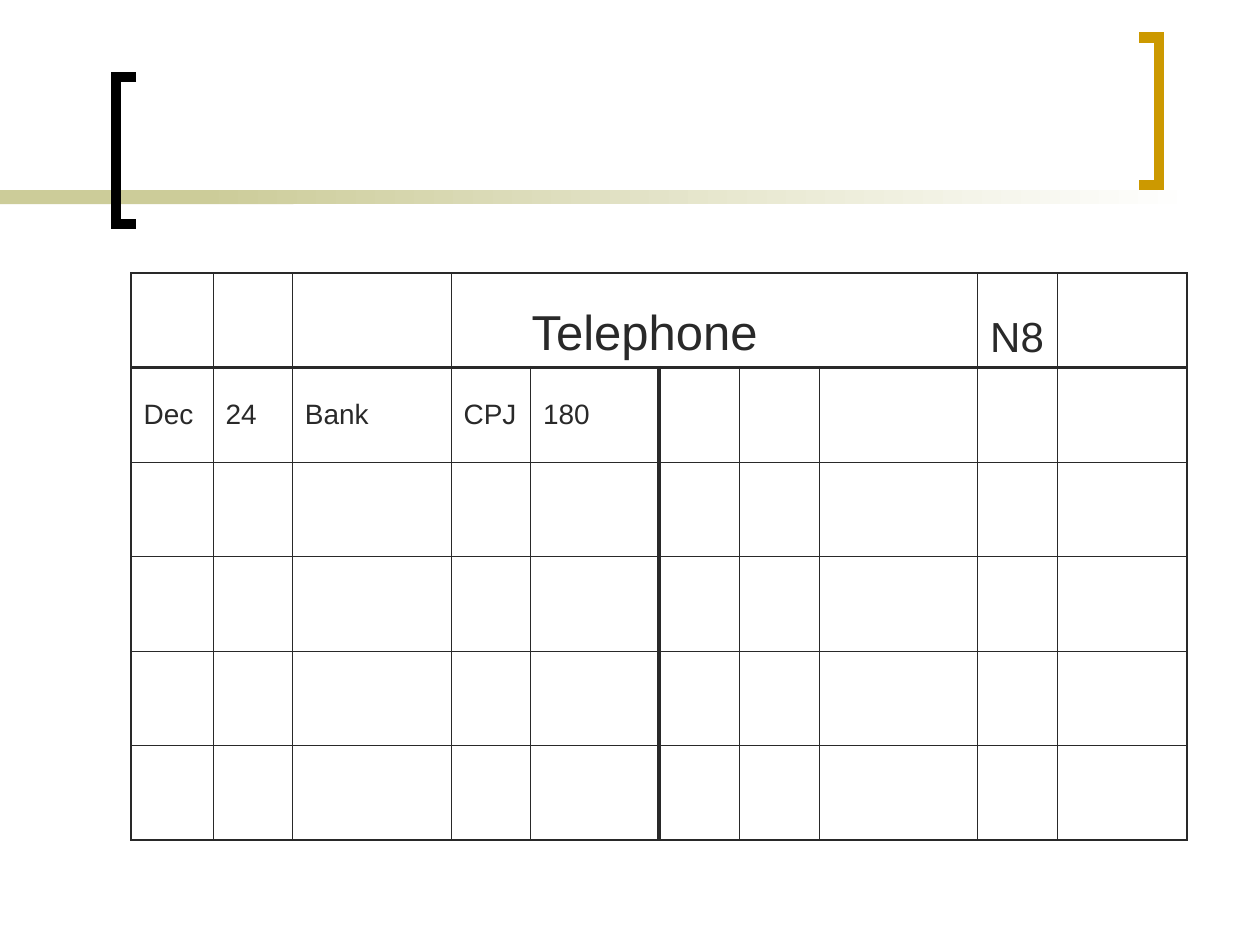
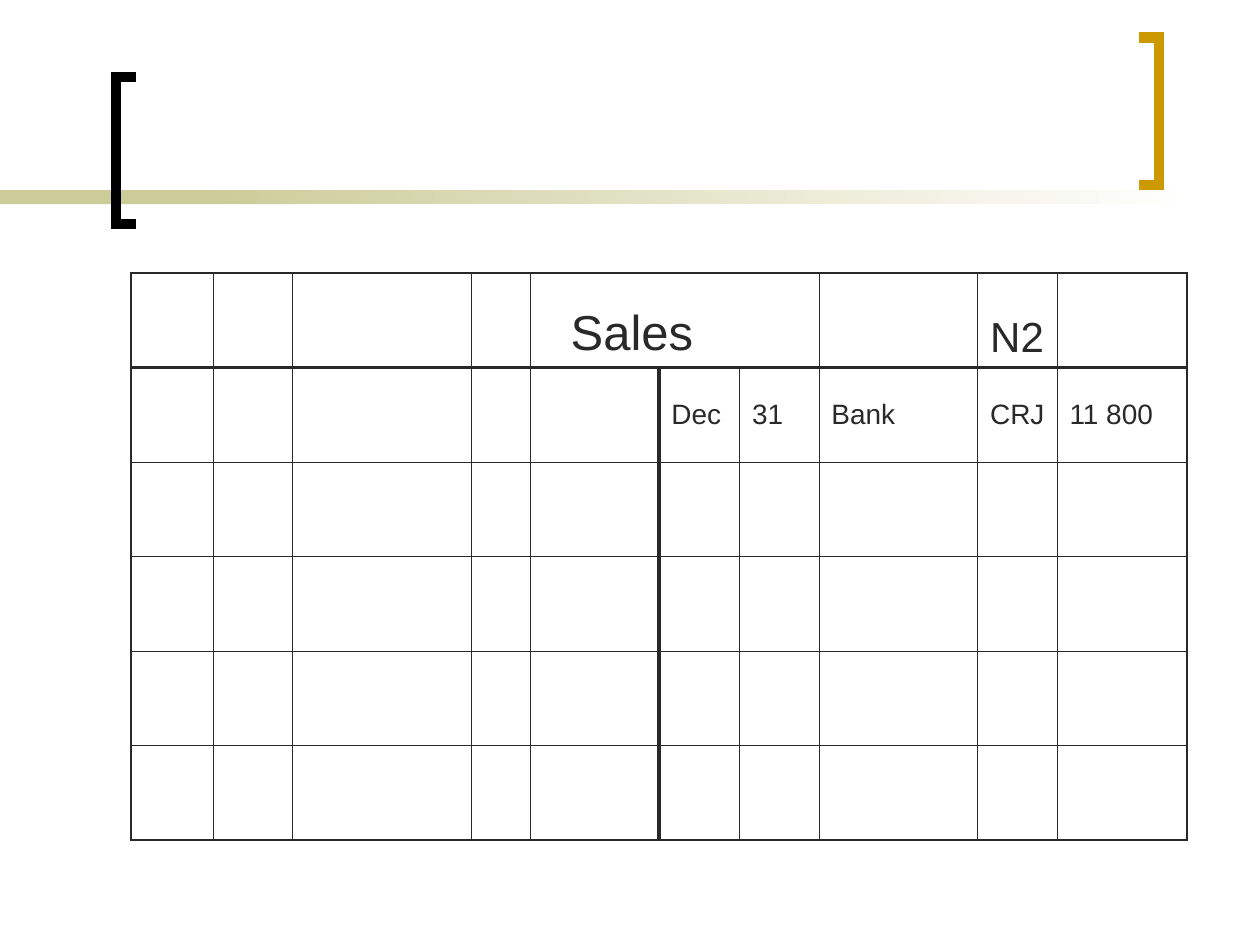
"""Build two ledger account slides with a bracketed header band."""
from lxml import etree
from pptx import Presentation
from pptx.dml.color import RGBColor
from pptx.enum import shapes, text
from pptx.oxml import ns
from pptx.util import Inches, Pt

COLORS = {"ink": "292929", "band": "CCCC99", "white": "FFFFFF",
          "left": "000000", "right": "CC9900"}
FONT = "Arial"
ROWS, COLS, ROW_HEIGHT = 6, 10, 0.75
THIN, EDGE, THICK = 0.45, 1.08, 2.2


def rgb(name):
    return RGBColor.from_string(COLORS[name])


def add_band(s, left, width):
    sp = s.shapes.add_shape(shapes.MSO_SHAPE.RECTANGLE, Inches(left), Inches(1.51),
                            Inches(width), Inches(0.11))
    sp.shadow.inherit = False
    sp.line.fill.background()
    return sp.fill


def add_bracket(s, tip, spine, top, color):
    bottom = top + 1.17
    points = [(Inches(x), Inches(y))
              for x, y in ((tip, top), (spine, top), (spine, bottom), (tip, bottom))]
    builder = s.shapes.build_freeform(*points[0])
    builder.add_line_segments(points[1:], close=False)
    sp = builder.convert_to_shape()
    sp.shadow.inherit = False
    sp.fill.background()
    sp.line.color.rgb = rgb(color)
    sp.line.width = Pt(6)
    ln = sp.element.spPr.find(ns.qn("a:ln"))
    etree.SubElement(ln, ns.qn("a:miter"), lim="800000")


def add_header(s):
    solid = add_band(s, 0, 2.33)
    solid.solid()
    solid.fore_color.rgb = rgb("band")
    fade = add_band(s, 1.58, 7.92)
    fade.gradient()
    fade.gradient_angle = 0
    for stop, color in zip(fade.gradient_stops, ("band", "white")):
        stop.color.rgb = rgb(color)
    add_bracket(s, 1.08, 0.92, 0.61, "left")
    add_bracket(s, 9.04, 9.2, 0.3, "right")


def write(cell, words, size=16, anchor=text.MSO_ANCHOR.MIDDLE, indent=0):
    cell.vertical_anchor = anchor
    cell.margin_left = Inches(0.1 + indent)
    cell.margin_right = Inches(0.05)
    r = cell.text_frame.paragraphs[0].add_run()
    r.text = words
    r.font.size = Pt(size)
    r.font.name = FONT
    r.font.color.rgb = rgb("ink")


def column_line(row, edge):
    if edge in (0, COLS):
        return EDGE
    return THICK if edge == COLS // 2 and row > 0 else THIN


def row_line(edge):
    return {0: EDGE, 1: THICK, ROWS: EDGE}.get(edge, THIN)


def set_borders(cell, row, col):
    tc_pr = cell._tc.get_or_add_tcPr()
    weights = {"L": column_line(row, col), "R": column_line(row, col + 1),
               "T": row_line(row), "B": row_line(row + 1)}
    for side, weight in weights.items():
        ln = etree.SubElement(tc_pr, ns.qn(f"a:ln{side}"), w=str(int(Pt(weight))))
        fill = etree.SubElement(ln, ns.qn("a:solidFill"))
        etree.SubElement(fill, ns.qn("a:srgbClr"), val=COLORS["ink"])


def add_ledger(s, widths, title, title_cols, indent, folio, entry, entry_col):
    tbl = s.shapes.add_table(ROWS, COLS, Inches(1.04), Inches(13 / 6),
                             Inches(sum(widths)), Inches(ROWS * ROW_HEIGHT)).table
    tbl.first_row = tbl.horz_banding = False
    for column, width in zip(tbl.columns, widths):
        column.width = Inches(width)
    for row, tr in enumerate(tbl.rows):
        tr.height = Inches(ROW_HEIGHT)
        for col, cell in enumerate(tr.cells):
            set_borders(cell, row, col)
            cell.fill.background()
    first, last = title_cols
    tbl.cell(0, first).merge(tbl.cell(0, last))
    write(tbl.cell(0, first), title, size=28, anchor=text.MSO_ANCHOR.BOTTOM, indent=indent)
    write(tbl.cell(0, 8), folio, size=24, anchor=text.MSO_ANCHOR.BOTTOM)
    for col, words in enumerate(entry, entry_col):
        write(tbl.cell(1, col), words)


def main():
    prs = Presentation()
    prs.slide_width, prs.slide_height = Inches(10), Inches(7.5)
    credit_widths = [0.64, 0.63, 1.26, 0.63, 1.03]
    accounts = [
        dict(widths=[0.65, 0.63, 1.26, 0.63, 1.02] + credit_widths,
             title="Telephone", title_cols=(3, 7), indent=0.54, folio="N8",
             entry=["Dec", "24", "Bank", "CPJ", "180"], entry_col=0),
        dict(widths=[0.65, 0.63, 1.42, 0.47, 1.02] + credit_widths,
             title="Sales", title_cols=(4, 6), indent=0.22, folio="N2",
             entry=["Dec", "31", "Bank", "CRJ", "11 800"], entry_col=5),
    ]
    for account in accounts:
        s = prs.slides.add_slide(prs.slide_layouts[6])
        add_header(s)
        add_ledger(s, **account)
    prs.save("out.pptx")


if __name__ == "__main__":
    main()
